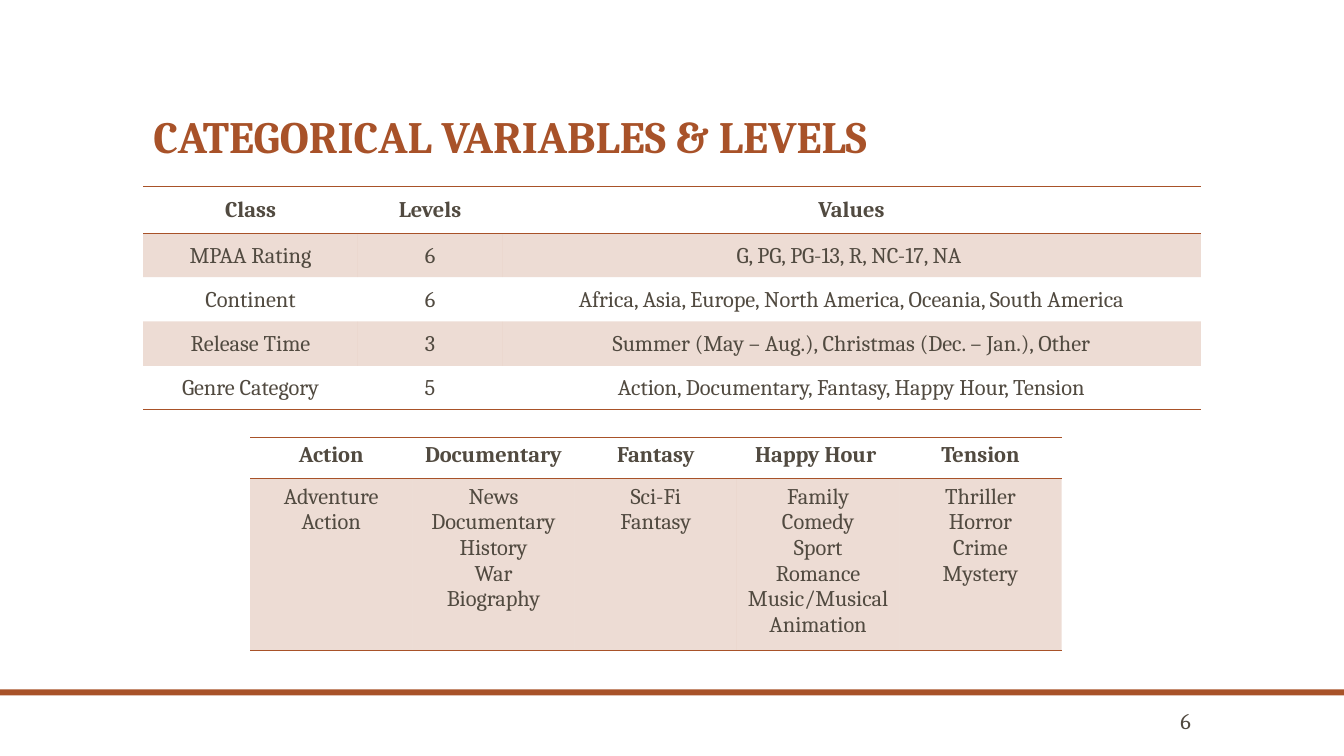
"""Builds the slide on categorical variables and their levels."""
from lxml import etree
from pptx import Presentation
from pptx.dml.color import RGBColor
from pptx.enum.shapes import MSO_SHAPE
from pptx.enum.text import MSO_ANCHOR, MSO_AUTO_SIZE, PP_ALIGN
from pptx.oxml.ns import qn
from pptx.util import Pt

RECT = MSO_SHAPE.RECTANGLE
MIDDLE, BOTTOM, TOP = MSO_ANCHOR.MIDDLE, MSO_ANCHOR.BOTTOM, MSO_ANCHOR.TOP
LEFT, CENTER, RIGHT = PP_ALIGN.LEFT, PP_ALIGN.CENTER, PP_ALIGN.RIGHT
NO_FIT = MSO_AUTO_SIZE.NONE
PX = 9144
FONT = "Cambria"
PLAIN = "{2D5ABB26-0587-4C30-8999-92F81FD0307C}"
COLORS = {"rust": "A85229", "text": "514A40"}

LEVELS = [
    ["Class", "Levels", "Values"],
    ["MPAA Rating", "6", "G, PG, PG-13, R, NC-17, NA "],
    ["Continent", "6", "Africa, Asia, Europe, North America, Oceania, South America"],
    ["Release Time", "3", "Summer (May – Aug.), Christmas (Dec. – Jan.), Other"],
    ["Genre Category", "5", "Action, Documentary, Fantasy, Happy Hour, Tension"],
]
GENRES = {
    "Action": ["Adventure", "Action"],
    "Documentary": ["News", "Documentary", "History", "War", "Biography"],
    "Fantasy": ["Sci-Fi", "Fantasy"],
    "Happy Hour ": ["Family", "Comedy", "Sport", "Romance", "Music/Musical", "Animation"],
    "Tension": ["Thriller", "Horror", "Crime", "Mystery"],
}


def color(name):
    return RGBColor.from_string(COLORS[name])


def scale(*sizes):
    return [size * PX for size in sizes]


def write(frame, text, size=16, tint="text", bold=False, align=CENTER):
    for i, line in enumerate(text.split("\n")):
        para = frame.add_paragraph() if i else frame.paragraphs[0]
        para.alignment = align
        run = para.add_run()
        run.text = line
        font = run.font
        font.name, font.size, font.bold = FONT, Pt(size), bold
        font.color.rgb = color(tint)


def add_title(slide, text, box):
    title = slide.shapes.title
    title.left, title.top, title.width, title.height = scale(*box)
    frame = title.text_frame
    frame.auto_size, frame.vertical_anchor = NO_FIT, BOTTOM
    write(frame, text, 32, "rust", True, LEFT)
    frame.paragraphs[0].line_spacing = 0.9


def add_bar(slide, box):
    bar = slide.shapes.add_shape(RECT, *scale(*box))
    bar.shadow.inherit = False
    bar.fill.solid()
    bar.fill.fore_color.rgb = color("rust")
    bar.line.fill.background()


def add_number(slide, text, box):
    frame = slide.shapes.add_textbox(*scale(*box)).text_frame
    frame.word_wrap, frame.vertical_anchor = True, MIDDLE
    write(frame, text, align=RIGHT)


def add_edge(cell, tag):
    line = etree.SubElement(cell._tc.get_or_add_tcPr(), qn(tag), w=str(Pt(1)))
    fill = etree.SubElement(line, qn("a:solidFill"))
    etree.SubElement(fill, qn("a:srgbClr"), val=COLORS["rust"])


def shade(cell):
    cell.fill.solid()
    cell.fill.fore_color.rgb = color("rust")
    tint = cell._tc.tcPr.find(".//" + qn("a:srgbClr"))
    if tint is None:
        return
    for node in cell._tc.tcPr.findall(qn("a:solidFill") + "/" + qn("a:srgbClr")):
        etree.SubElement(node, qn("a:alpha"), val="20000")


def add_grid(slide, rows, spot, widths, heights, anchor, pads):
    box = scale(*spot, sum(widths), sum(heights))
    table = slide.shapes.add_table(len(rows), len(widths), *box).table
    table.first_row = table.horz_banding = False
    table._tbl.tblPr.find(qn("a:tableStyleId")).text = PLAIN
    for col, width in zip(table.columns, widths):
        col.width = width * PX
    for row, height in zip(table.rows, heights):
        row.height = height * PX
    for r, texts in enumerate(rows):
        for c, text in enumerate(texts):
            cell = table.cell(r, c)
            (cell.margin_left, cell.margin_right,
             cell.margin_top, cell.margin_bottom) = scale(*pads)
            cell.vertical_anchor = anchor
            write(cell.text_frame, text, bold=r == 0)
            if r == 0:
                add_edge(cell, "a:lnT")
            if r in (0, len(rows) - 1):
                add_edge(cell, "a:lnB")
            if r % 2:
                shade(cell)
            else:
                cell.fill.background()


def main():
    deck = Presentation()
    deck.slide_width, deck.slide_height = scale(1333, 750)
    slide = deck.slides.add_slide(deck.slide_layouts[5])
    add_bar(slide, (0, 684, 1333, 6))
    add_title(slide, "CATEGORICAL VARIABLES & LEVELS", (142, 42, 1050, 125))
    add_grid(slide, LEVELS, (142, 185), [213, 143, 693], [47, 43, 44, 44, 43],
             MIDDLE, (1, 1, 1, 0))
    add_number(slide, "6", (1115, 702, 76, 26))
    lists = ["\n".join(names) for names in GENRES.values()]
    add_grid(slide, [list(GENRES), lists], (248, 434), [161] * len(GENRES), [41, 163],
             TOP, (10, 10, 5, 5))
    deck.save("out.pptx")


if __name__ == "__main__":
    main()
